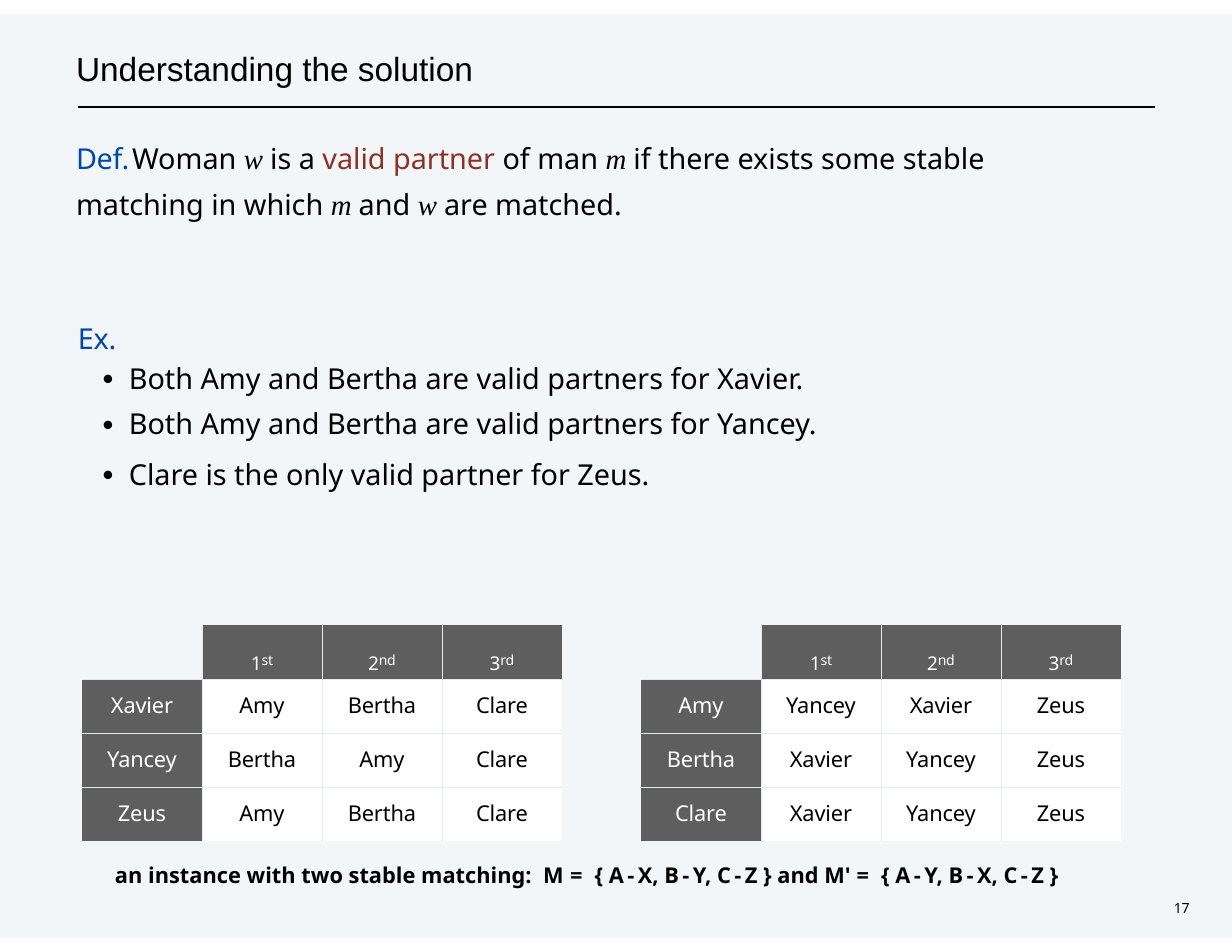
from dataclasses import dataclass, replace

import pptx
import pptx.dml.color
import pptx.enum.shapes
import pptx.enum.text
import pptx.oxml
import pptx.oxml.ns
import pptx.util
from lxml import etree

EMU_PER_PX = 914400 / 112
SANS, SERIF, CJK = "Noto Sans", "Times New Roman", "Noto Sans CJK TC"
BLACK, WHITE, BLUE, RED = "000000", "FFFFFF", "0048AA", "8D3124"
GREY, RULE = "5E5E5E", "E7EAEB"
COL, ROW = 120, 54


@dataclass
class Run:
    text: str
    size: float = 18.5
    font: str = SANS
    color: str = BLACK
    bold: bool = False
    italic: bool = False
    spacing: float = 0  # points
    baseline: int = 0  # percent


@dataclass
class Box:
    x: int
    y: int
    w: int
    h: int


@dataclass
class Preferences:
    x: int
    y: int
    rows: list[list[str]]


def px(n: float) -> int:
    return round(n * EMU_PER_PX)


def rgb(color: str) -> pptx.dml.color.RGBColor:
    return pptx.dml.color.RGBColor.from_string(color)


def child(parent, tag: str, **attrs: str):
    return etree.SubElement(parent, pptx.oxml.ns.qn(tag), attrs)


def write(p, runs: list[Run], before: float = 0, line=None, indent: int = 0) -> None:
    """Fill a paragraph; spacings are in points, the indent in px."""
    p.space_before = pptx.util.Pt(before)
    if line:
        p.line_spacing = line
    pPr = p._p.get_or_add_pPr()
    pPr.set("marL", str(px(indent)))
    pPr.set("indent", "0")
    for run in runs:
        r = p.add_run()
        r.text = run.text
        f = r.font
        f.size, f.name = pptx.util.Pt(run.size), run.font
        f.bold, f.italic = run.bold, run.italic
        f.color.rgb = rgb(run.color)
        rPr = r._r.get_or_add_rPr()
        if run.spacing:
            rPr.set("spc", str(round(run.spacing * 100)))
        if run.baseline:
            rPr.set("baseline", str(run.baseline * 1000))
        if run.font == CJK:
            latin = rPr.find(pptx.oxml.ns.qn("a:latin"))
            latin.addnext(pptx.oxml.parse_xml(
                f'<a:ea {pptx.oxml.ns.nsdecls("a")} typeface="{CJK}"/>'))


def set_frame(sp, box: Box, top: int):
    """Place a text shape and return its frame, with only a top inset."""
    sp.left, sp.top, sp.width, sp.height = map(px, (box.x, box.y, box.w, box.h))
    tf = sp.text_frame
    tf.word_wrap = True
    tf.auto_size = pptx.enum.text.MSO_AUTO_SIZE.NONE
    tf.vertical_anchor = pptx.enum.text.MSO_ANCHOR.TOP
    tf.margin_left = tf.margin_right = tf.margin_bottom = 0
    tf.margin_top = px(top)
    return tf


def add_text(s, box: Box):
    return set_frame(s.shapes.add_textbox(0, 0, 0, 0), box, 1)


def add_tint(s) -> None:
    sp = s.shapes.add_shape(pptx.enum.shapes.MSO_SHAPE.RECTANGLE,
                            0, px(14), px(1232), px(924))
    sp.shadow.inherit = False
    sp.line.fill.background()
    sp.fill.solid()
    sp.fill.fore_color.rgb = rgb("005493")
    child(sp._element.spPr.find(".//" + pptx.oxml.ns.qn("a:srgbClr")),
          "a:alpha", val="5000")
    s.shapes._spTree.insert(2, sp._element)  # behind the title


def add_rule(s) -> None:
    line = s.shapes.add_connector(pptx.enum.shapes.MSO_CONNECTOR.STRAIGHT,
                                  px(78), px(107), px(1155), px(107))
    line.line.color.rgb = rgb(BLACK)
    line.line.width = pptx.util.Pt(0.77)
    child(line._element.spPr, "a:effectLst")


def set_borders(cell, inner: dict[str, bool]) -> None:
    """Rule the sides that face another cell and clear the outer ones."""
    tcPr = cell._tc.get_or_add_tcPr()
    for side, ruled in inner.items():
        ln = child(tcPr, f"a:ln{side}", w=str(pptx.util.Pt(0.25)))
        if ruled:
            child(child(ln, "a:solidFill"), "a:srgbClr", val=RULE)
        else:
            child(ln, "a:noFill")


def add_preferences(s, prefs: Preferences) -> None:
    n = 4
    table = s.shapes.add_table(n, n, px(prefs.x), px(prefs.y),
                               px(n * COL), px(n * ROW)).table
    table.first_row = table.horz_banding = False
    for i in range(n):
        table.columns[i].width = px(COL)
        table.rows[i].height = px(ROW)
    ordinals = ["", "1st", "2nd", "3rd"]
    for i, row in enumerate([ordinals] + prefs.rows):
        for j, text in enumerate(row):
            cell = table.cell(i, j)
            set_borders(cell, {"L": j > 0, "R": j < n - 1, "T": i > 0, "B": i < n - 1})
            cell.margin_left = cell.margin_right = cell.margin_bottom = 0
            cell.margin_top = px(11 if i else 6)
            if not text:
                cell.fill.background()
                continue
            header = i == 0 or j == 0
            cell.fill.solid()
            cell.fill.fore_color.rgb = rgb(GREY if header else WHITE)
            color = WHITE if header else BLACK
            p = cell.text_frame.paragraphs[0]
            p.alignment = pptx.enum.text.PP_ALIGN.CENTER
            if i == 0:
                write(p, [Run(text[0], 21, color=color, spacing=-0.4, baseline=-14),
                          Run(text[1:], 9, color=color, spacing=-0.2)], 3.3)
            else:
                write(p, [Run(text, 14, color=color, spacing=-0.1)], 7)


def add_definition(s) -> None:
    m, w = (Run(v, font=SERIF, italic=True) for v in ("m ", "w "))
    p = add_text(s, Box(75, 129, 971, 94)).paragraphs[0]
    write(p, [Run("Def.\t", color=BLUE, spacing=-0.2), Run("Woman "), w, Run("is a "),
              Run("valid partner ", color=RED), Run("of man "), m,
              Run("if there exists some stable matching in which "), m,
              Run("and "), w, Run("are matched.")], 0.9, 1.32, 1)
    child(child(p._p.get_or_add_pPr(), "a:tabLst"), "a:tab", pos=str(px(77)), algn="l")


def add_examples(s) -> None:
    tf = add_text(s, Box(71, 323, 784, 178))
    write(tf.paragraphs[0], [Run("Ex.", color=BLUE, spacing=-0.2)],
          1.1, pptx.util.Pt(20.3), 7)
    dot = Run("・", 44.2, CJK, baseline=-8)
    for text, pitch in [("Both Amy and Bertha are valid partners for Xavier.", 30.5),
                        ("Both Amy and Bertha are valid partners for Yancey.", 29.4),
                        ("Clare is the only valid partner for Zeus.", 32.4)]:
        write(tf.add_paragraph(), [dot, Run(text)], 0, pptx.util.Pt(pitch), 18)


def add_caption(s) -> None:
    plain = Run("", 14, bold=True)
    parts = [("an instance with two stable matching:  M ", 0)]
    for pairs, after in [("AX BY CZ", "} and M' "), ("AY BX CZ", "}")]:
        parts += [("= ", 2), ("{ ", 0)]
        for woman, man in pairs.split():
            parts += [(f"{woman}-", 2.2), (f"{man} " if man == "Z" else f"{man}, ", 0)]
        parts.append((after, 0))
    write(add_text(s, Box(114, 861, 974, 29)).paragraphs[0],
          [replace(plain, text=text, spacing=spc) for text, spc in parts], 0.5, indent=1)


def main() -> None:
    prs = pptx.Presentation()
    prs.slide_width, prs.slide_height = px(1232), px(952)
    s = prs.slides.add_slide(prs.slide_layouts[5])
    add_tint(s)
    add_rule(s)
    p = set_frame(s.shapes.title, Box(75, 46, 692, 44), 2).paragraphs[0]
    p.alignment = pptx.enum.text.PP_ALIGN.LEFT
    write(p, [Run("Understanding the solution", 21.5, "Arial")], 1.1, indent=1)
    add_definition(s)
    add_examples(s)
    add_preferences(s, Preferences(82, 625, [["Xavier", "Amy", "Bertha", "Clare"],
                                             ["Yancey", "Bertha", "Amy", "Clare"],
                                             ["Zeus", "Amy", "Bertha", "Clare"]]))
    add_preferences(s, Preferences(641, 625, [["Amy", "Yancey", "Xavier", "Zeus"],
                                              ["Bertha", "Xavier", "Yancey", "Zeus"],
                                              ["Clare", "Xavier", "Yancey", "Zeus"]]))
    add_caption(s)
    write(add_text(s, Box(1170, 899, 29, 20)).paragraphs[0],
          [Run("17", 9, spacing=-0.2)], 0.7, indent=4)
    prs.save("out.pptx")


if __name__ == "__main__":
    main()
